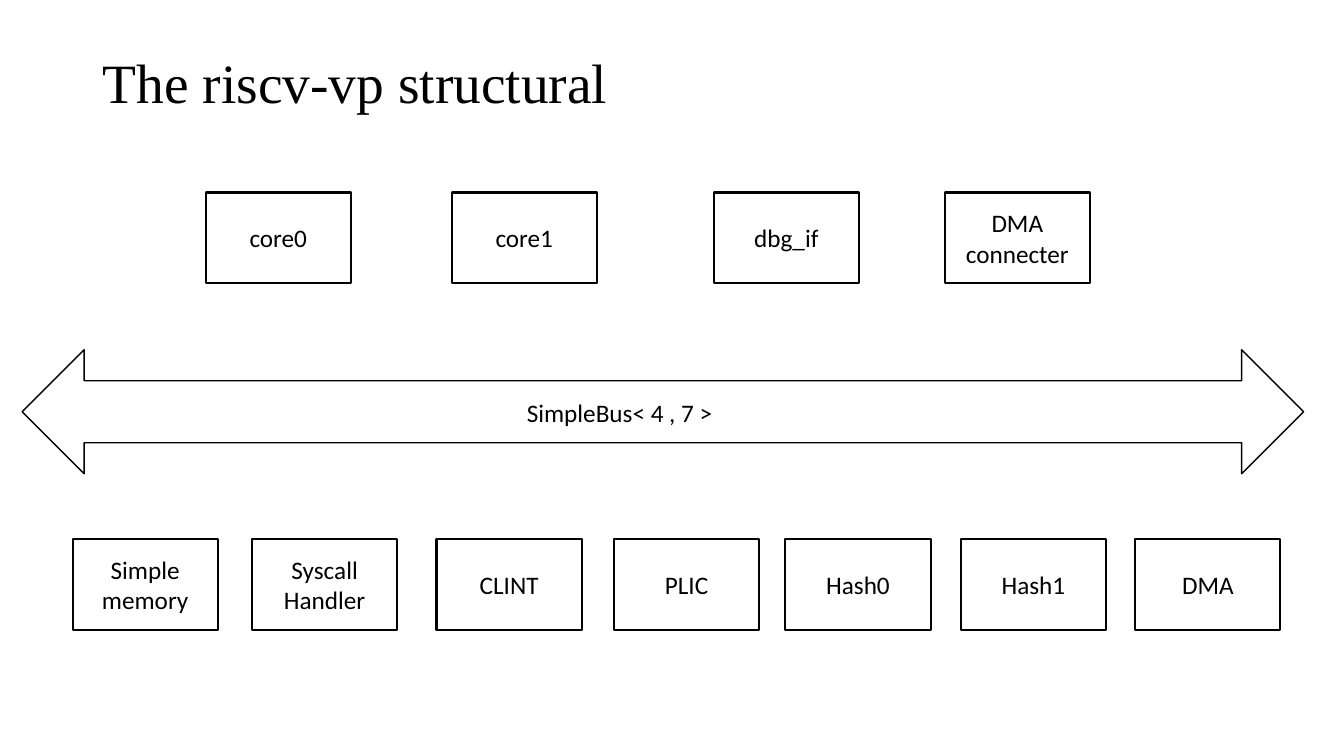
from dataclasses import dataclass

from pptx import Presentation
from pptx.dml.color import RGBColor
from pptx.enum.shapes import MSO_SHAPE
from pptx.enum.text import MSO_ANCHOR, PP_ALIGN
from pptx.util import Inches, Pt


@dataclass(frozen=True)
class Theme:
    """Colours, fonts and sizes of the slide."""
    ink: RGBColor = RGBColor(0, 0, 0)
    head: str = "Times New Roman"
    body: str = "Calibri"
    large: float = 39.6
    small: float = 18
    thick: float = 1.5
    thin: float = 1


THEME = Theme()
MASTERS = [("core0", 0), ("core1", 2.44), ("dbg_if", 5.04),
           ("DMA connecter", 7.33)]
SLAVES = [("Simple memory", 0), ("Syscall Handler", 1.78), ("CLINT", 3.61),
          ("PLIC", 5.37), ("Hash0", 7.07), ("Hash1", 8.81), ("DMA", 10.54)]


def write(shape, text, face, size, align):
    """Put one paragraph of styled text in a shape."""
    shape.text_frame.word_wrap = True
    para = shape.text_frame.paragraphs[0]
    para.text = text
    para.alignment = align
    para.font.name = face
    para.font.size = Pt(size)
    para.font.color.rgb = THEME.ink
    return para


def outline(shapes, kind, left, top, width, height, weight):
    """Add an unfilled shape with a plain line."""
    shape = shapes.add_shape(kind, Inches(left), Inches(top),
                             Inches(width), Inches(height))
    shape.shadow.inherit = False
    shape.fill.background()
    shape.line.color.rgb = THEME.ink
    shape.line.width = Pt(weight)
    return shape


def title(slide, left, top, width, height):
    """Add the slide heading."""
    box = slide.shapes.add_textbox(Inches(left), Inches(top),
                                   Inches(width), Inches(height))
    box.text_frame.vertical_anchor = MSO_ANCHOR.TOP
    box.text_frame.margin_top = Inches(0.15)
    para = write(box, "The riscv-vp structural", THEME.head, THEME.large,
                 PP_ALIGN.LEFT)
    para.line_spacing = 0.9


def blocks(slide, items, left, top, width, height):
    """Add a row of labelled blocks at offsets from its left edge."""
    for label, offset in items:
        block = outline(slide.shapes, MSO_SHAPE.RECTANGLE, left + offset, top,
                        width, height, THEME.thick)
        block.text_frame.vertical_anchor = MSO_ANCHOR.MIDDLE
        write(block, label, THEME.body, THEME.small, PP_ALIGN.CENTER)


def bus(slide, left, top, width, height):
    """Add the bus arrow and its label as one group."""
    group = slide.shapes.add_group_shape()
    outline(group.shapes, MSO_SHAPE.LEFT_RIGHT_ARROW, left, top, width, height,
            THEME.thin)
    label = group.shapes.add_textbox(Inches(left + 4.88), Inches(top + 0.42),
                                     Inches(2.09), Inches(0.4))
    write(label, "SimpleBus< 4 , 7 >", THEME.body, THEME.small,
          PP_ALIGN.CENTER)


def main():
    """Build and save the slide."""
    deck = Presentation()
    deck.slide_width = Inches(13.33)
    deck.slide_height = Inches(7.5)
    slide = deck.slides.add_slide(deck.slide_layouts[6])
    title(slide, 0.92, 0.4, 11.5, 1.45)
    blocks(slide, MASTERS, 2.04, 1.91, 1.44, 0.9)
    blocks(slide, SLAVES, 0.72, 5.35, 1.44, 0.9)
    bus(slide, 0.22, 3.47, 12.71, 1.23)
    deck.save("out.pptx")


if __name__ == "__main__":
    main()
